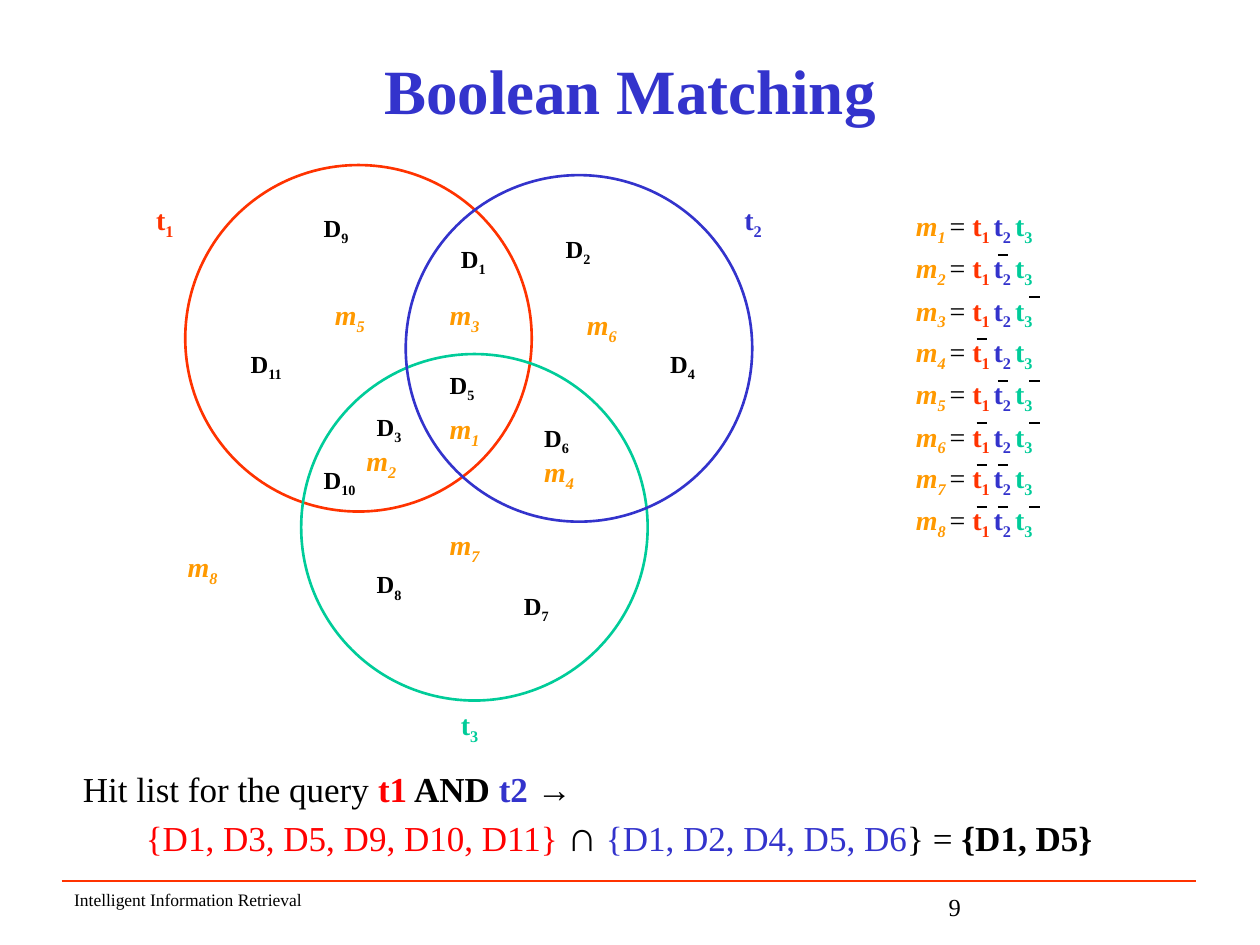
"""Build a slide that explains Boolean matching with a three-term Venn diagram."""
from dataclasses import dataclass

from lxml.etree import SubElement
from pptx import Presentation
from pptx.dml.color import RGBColor
from pptx.enum.shapes import MSO_CONNECTOR, MSO_SHAPE
from pptx.enum.text import MSO_ANCHOR, MSO_AUTO_SIZE, PP_ALIGN
from pptx.oxml.ns import qn
from pptx.slide import Slide
from pptx.text.text import _Paragraph
from pptx.util import Inches, Pt

FONT = "Times New Roman"
BLACK = RGBColor(0x00, 0x00, 0x00)
ORANGE_RED = RGBColor(0xFF, 0x33, 0x00)
RED = RGBColor(0xFF, 0x00, 0x00)
BLUE = RGBColor(0x33, 0x33, 0xCC)
GREEN = RGBColor(0x00, 0xCC, 0x99)
ORANGE = RGBColor(0xFF, 0x99, 0x00)
TERM_COLORS = {1: ORANGE_RED, 2: BLUE, 3: GREEN}
CIRCLE_SIZE = 2.75
LABEL_WIDTH = 0.48


@dataclass
class Span:
    text: str
    size: float
    color: RGBColor = BLACK
    bold: bool = False
    italic: bool = False
    subscript: bool = False


@dataclass
class Circle:
    left: float
    top: float
    color: RGBColor


@dataclass
class Label:
    letter: str
    number: int
    left: float
    top: float


@dataclass
class Minterm:
    number: int
    negated: tuple[int, ...]


CIRCLES = [
    Circle(1.47, 1.31, ORANGE_RED),
    Circle(2.39, 2.81, GREEN),
    Circle(3.22, 1.39, BLUE),
]
LABELS = [
    Label("t", 3, 3.56, 5.57), Label("t", 1, 1.14, 1.56), Label("t", 2, 5.81, 1.56),
    Label("D", 1, 3.56, 1.89), Label("D", 2, 4.39, 1.81), Label("D", 3, 2.89, 3.22),
    Label("D", 4, 5.22, 2.72), Label("D", 5, 3.47, 2.89), Label("D", 6, 4.22, 3.31),
    Label("D", 8, 2.89, 4.47), Label("D", 7, 4.06, 4.64), Label("D", 9, 2.47, 1.64),
    Label("D", 10, 2.47, 3.64), Label("D", 11, 1.89, 2.72),
    Label("m", 1, 3.47, 3.22), Label("m", 2, 2.81, 3.47), Label("m", 3, 3.47, 2.31),
    Label("m", 5, 2.56, 2.31), Label("m", 4, 4.22, 3.56), Label("m", 7, 3.47, 4.14),
    Label("m", 8, 1.39, 4.31), Label("m", 6, 4.56, 2.39),
]
MINTERMS = [
    Minterm(1, ()), Minterm(2, (2,)), Minterm(3, (3,)), Minterm(4, (1,)),
    Minterm(5, (2, 3)), Minterm(6, (1, 3)), Minterm(7, (1, 2)), Minterm(8, (1, 2, 3)),
]
BAR_LEFTS = {1: 7.75, 2: 7.92, 3: 8.17}
QUERY_LINES = [
    [
        Span("Hit list for the query ", 20),
        Span("t1", 20, RED, bold=True),
        Span(" AND", 20, bold=True),
        Span(" t2 ", 20, BLUE, bold=True),
        Span("→", 20),
    ],
    [
        Span("\t", 20),
        Span("{D1, D3, D5, D9, D10, D11} ", 20, RED),
        Span("∩", 24, bold=True),
        Span(" ", 20, bold=True),
        Span("{D1, D2, D4, D5, D6", 20, BLUE),
        Span("} = ", 20),
        Span("{D1, D5}", 20, bold=True),
    ],
]


def add_span(para: _Paragraph, span: Span) -> None:
    """Append one formatted run to a paragraph."""
    run = para.add_run()
    run.text = span.text
    values = {"name": FONT, "size": Pt(span.size), "bold": span.bold, "italic": span.italic}
    for name, value in values.items():
        setattr(run.font, name, value)
    run.font.color.rgb = span.color
    if span.subscript:
        run.font._element.set("baseline", "-25000")


def add_text(slide: Slide, left: float, top: float, width: float, height: float,
             lines: list[list[Span]], wrap: bool = True,
             alignment: PP_ALIGN = PP_ALIGN.LEFT) -> None:
    """Add a text box with one paragraph per line of spans."""
    box = slide.shapes.add_textbox(Inches(left), Inches(top), Inches(width), Inches(height))
    frame = box.text_frame
    frame.word_wrap = wrap
    frame.auto_size = MSO_AUTO_SIZE.SHAPE_TO_FIT_TEXT
    for index, spans in enumerate(lines):
        para = frame.add_paragraph() if index else frame.paragraphs[0]
        para.alignment = alignment
        for span in spans:
            add_span(para, span)


def add_line(slide: Slide, left: float, top: float, length: float,
             color: RGBColor, weight: float) -> None:
    """Add a horizontal line without a shadow."""
    line = slide.shapes.add_connector(
        MSO_CONNECTOR.STRAIGHT, Inches(left), Inches(top), Inches(left + length), Inches(top))
    line.line.color.rgb = color
    line.line.width = Pt(weight)
    SubElement(line._element.spPr, qn("a:effectLst"))


def add_title(slide: Slide, text: str) -> None:
    """Place and format the title placeholder."""
    title = slide.shapes.title
    place = {"left": 0.75, "top": 0.29, "width": 8.5, "height": 0.83}
    for name, value in place.items():
        setattr(title, name, Inches(value))
    title.text_frame.vertical_anchor = MSO_ANCHOR.MIDDLE
    para = title.text_frame.paragraphs[0]
    para.alignment = PP_ALIGN.CENTER
    add_span(para, Span(text, 36, BLUE, bold=True))


def add_circle(slide: Slide, circle: Circle) -> None:
    """Draw the outline of one term's document set."""
    shape = slide.shapes.add_shape(
        MSO_SHAPE.OVAL, Inches(circle.left), Inches(circle.top),
        Inches(CIRCLE_SIZE), Inches(CIRCLE_SIZE))
    shape.shadow.inherit = False
    shape.fill.background()
    shape.line.color.rgb = circle.color
    shape.line.width = Pt(1.5)


def add_label(slide: Slide, label: Label) -> None:
    """Write a letter with a subscript number on the diagram."""
    colors = {"t": TERM_COLORS.get(label.number), "D": BLACK, "m": ORANGE}
    color = colors[label.letter]
    size = 14 if label.letter == "D" else 16
    italic = label.letter == "m"
    spans = [Span(label.letter, size, color, True, italic),
             Span(str(label.number), size, color, True, italic, True)]
    add_text(slide, label.left, label.top, LABEL_WIDTH, 0.33 if size == 14 else 0.37, [spans])


def add_minterm(slide: Slide, minterm: Minterm) -> None:
    """Write a minterm's equation with bars over its negated terms."""
    top = 1.61 + (minterm.number - 1) / 3
    spans = [Span("m", 16, ORANGE, True, True),
             Span(f"{minterm.number} ", 16, ORANGE, True, True, True),
             Span("= ", 16)]
    for number, color in TERM_COLORS.items():
        gap = " " if number < len(TERM_COLORS) else ""
        spans += [Span("t", 16, color, True),
                  Span(f"{number}{gap}", 16, color, True, subscript=True)]
    add_text(slide, 7.17, top, 1.5, 0.37, [spans], alignment=PP_ALIGN.JUSTIFY)
    for number in minterm.negated:
        add_line(slide, BAR_LEFTS[number], top + 0.08, 0.08, BLACK, 1.5)


def main() -> None:
    """Assemble and save the deck."""
    deck = Presentation()
    deck.slide_width, deck.slide_height = Inches(10), Inches(7.5)
    slide = deck.slides.add_slide(deck.slide_layouts[5])
    add_line(slide, 0.49, 6.99, 9, ORANGE_RED, 1)
    add_text(slide, 0.49, 7.01, 3.75, 0.25, [[Span("Intelligent Information Retrieval", 10)]])
    add_text(slide, 7.43, 7.03, 2.08, 0.25, [[Span("9", 14)]])
    add_title(slide, "Boolean Matching")
    for circle in CIRCLES:
        add_circle(slide, circle)
    for label in LABELS:
        add_label(slide, label)
    for minterm in MINTERMS:
        add_minterm(slide, minterm)
    add_text(slide, 0.56, 6.04, 8.79, 0.84, QUERY_LINES, wrap=False)
    deck.save("out.pptx")


if __name__ == "__main__":
    main()
